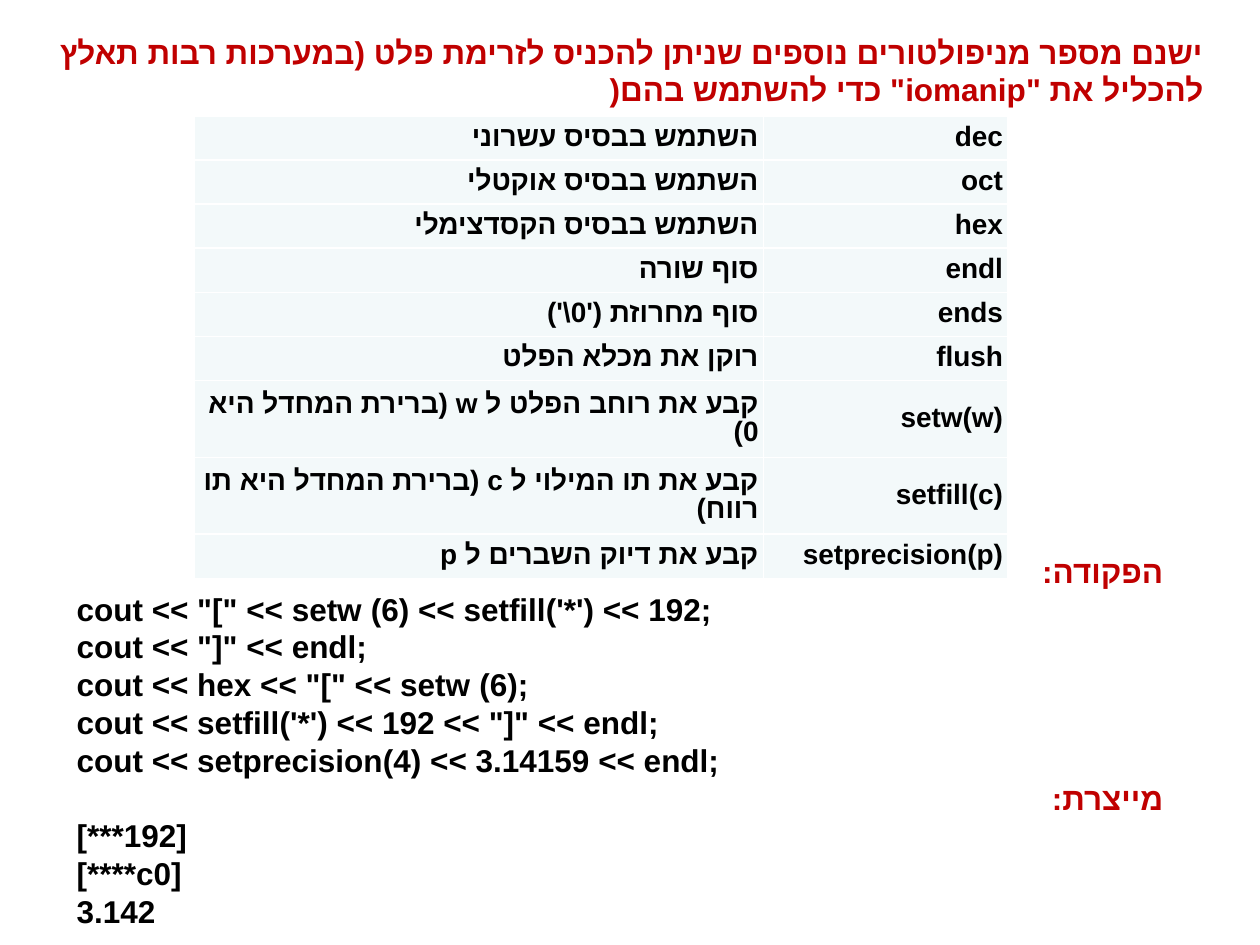
"""Build a slide listing C++ output manipulators with a code example."""
from lxml.etree import SubElement
from pptx import Presentation
from pptx.dml.color import RGBColor
from pptx.enum.text import MSO_ANCHOR, PP_ALIGN
from pptx.oxml import parse_xml
from pptx.oxml.ns import nsdecls, qn
from pptx.util import Inches, Pt

RED = RGBColor(0xC0, 0x00, 0x00)
BLACK = RGBColor(0x00, 0x00, 0x00)
CELL_FILL = RGBColor(0xF3, 0xF9, 0xFA)
BORDER = RGBColor(0xFF, 0xFF, 0xFF)
FONT = "Arial"

TITLE = (
    "ישנם מספר מניפולטורים נוספים שניתן להכניס לזרימת פלט "
    "(במערכות רבות תאלץ להכליל את \"iomanip\" כדי להשתמש בהם("
)
MANIPULATORS = [
    ("השתמש בבסיס עשרוני", "dec"),
    ("השתמש בבסיס אוקטלי", "oct"),
    ("השתמש בבסיס הקסדצימלי", "hex"),
    ("סוף שורה", "endl"),
    ("סוף מחרוזת ('0\\')", "ends"),
    ("רוקן את מכלא הפלט", "flush"),
    ("קבע את רוחב הפלט ל w (ברירת המחדל היא 0)", "setw(w)"),
    ("קבע את תו המילוי ל c (ברירת המחדל היא תו רווח)", "setfill(c)"),
    ("קבע את דיוק השברים ל p", "setprecision(p)"),
]
EXAMPLE = [
    ("הפקודה:", [
        "cout << \"[\" << setw (6) << setfill('*') << 192;",
        "cout << \"]\" << endl;",
        "cout << hex << \"[\" << setw (6);",
        "cout << setfill('*') << 192 << \"]\" << endl;",
        "cout << setprecision(4) << 3.14159 << endl;",
    ]),
    ("מייצרת:", ["[***192]", "[****c0]", "3.142"]),
]
COLUMN_WIDTHS = (4.52, 1.94)
ROW_HEIGHT, TALL_ROW_HEIGHT = 0.35, 0.61
WRAP_LENGTH = 30
CELL_FORMAT = {
    "vertical_anchor": MSO_ANCHOR.MIDDLE,
    **{f"margin_{side}": Inches(0.04) for side in ("left", "right", "top", "bottom")},
}


def write(paragraph, text, size, color, rtl=False):
    run = paragraph.add_run()
    run.text = text
    for name, value in {"name": FONT, "size": Pt(size), "bold": True}.items():
        setattr(run.font, name, value)
    run.font.color.rgb = color
    SubElement(run.font._element, qn("a:cs")).set("typeface", FONT)
    paragraph.alignment = PP_ALIGN.RIGHT if rtl else PP_ALIGN.LEFT
    if rtl:
        paragraph._p.get_or_add_pPr().set("rtl", "1")


def add_text(slide, box, lines):
    frame = slide.shapes.add_textbox(*map(Inches, box)).text_frame
    frame.word_wrap = True
    for index, (text, color, rtl) in enumerate(lines):
        paragraph = frame.add_paragraph() if index else frame.paragraphs[0]
        write(paragraph, text, 18, color, rtl)


def add_borders(cell):
    properties = cell._tc.get_or_add_tcPr()
    for index, side in enumerate(("lnL", "lnR", "lnT", "lnB")):
        properties.insert(index, parse_xml(
            f'<a:{side} {nsdecls("a")} w="{Pt(1)}"><a:solidFill>'
            f'<a:srgbClr val="{BORDER}"/></a:solidFill></a:{side}>'
        ))


def add_manipulator_table(slide):
    heights = [
        TALL_ROW_HEIGHT if len(description) > WRAP_LENGTH else ROW_HEIGHT
        for description, _ in MANIPULATORS
    ]
    box = (1.54, 0.92, sum(COLUMN_WIDTHS), sum(heights))
    table = slide.shapes.add_table(
        len(MANIPULATORS), len(COLUMN_WIDTHS), *map(Inches, box)
    ).table
    for column, width in zip(table.columns, COLUMN_WIDTHS):
        column.width = Inches(width)
    for row, height, texts in zip(table.rows, heights, MANIPULATORS):
        row.height = Inches(height)
        for cell, text in zip(row.cells, texts):
            for name, value in CELL_FORMAT.items():
                setattr(cell, name, value)
            cell.fill.solid()
            cell.fill.fore_color.rgb = CELL_FILL
            add_borders(cell)
            paragraph = cell.text_frame.paragraphs[0]
            paragraph.line_spacing = 0.9
            write(paragraph, text, 16, BLACK, rtl=True)


def main():
    presentation = Presentation()
    presentation.slide_width, presentation.slide_height = Inches(10), Inches(7.5)
    slide = presentation.slides.add_slide(presentation.slide_layouts[6])
    add_text(slide, (0.2, 0.21, 9.45, 0.71), [(TITLE, RED, True)])
    add_manipulator_table(slide)
    example_lines = []
    for heading, code in EXAMPLE:
        example_lines.append((heading, RED, True))
        example_lines.extend((line, BLACK, False) for line in code)
    add_text(slide, (0.51, 4.33, 8.82, 3.13), example_lines)
    presentation.save("out.pptx")


if __name__ == "__main__":
    main()
